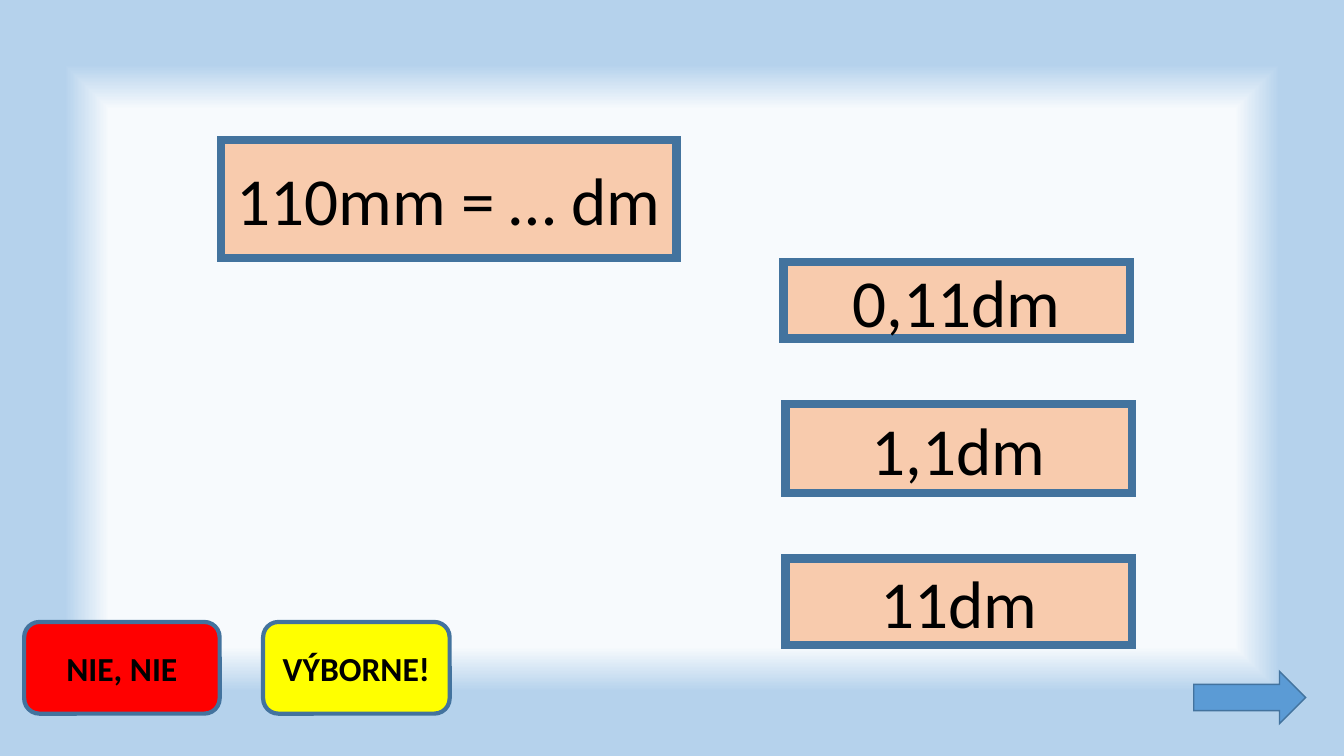
from dataclasses import dataclass

from lxml.etree import SubElement
from pptx import Presentation
from pptx.dml.color import RGBColor
from pptx.enum.shapes import MSO_SHAPE as Preset
from pptx.enum.text import MSO_ANCHOR as Anchor, PP_ALIGN as Align
from pptx.oxml import parse_xml
from pptx.oxml.ns import nsdecls, qn
from pptx.slide import Slide
from pptx.util import Inches, Pt

WIDTH, HEIGHT = Inches(13.33), Inches(7.5)
FONT = "Calibri"
BLACK = RGBColor(0x00, 0x00, 0x00)
PEACH = RGBColor(0xF8, 0xCB, 0xAD)
RED = RGBColor(0xFF, 0x00, 0x00)
YELLOW = RGBColor(0xFF, 0xFF, 0x00)
BLUE = RGBColor(0x5B, 0x9B, 0xD5)
OUTLINE = RGBColor(0x43, 0x73, 0x9E)
PALE = RGBColor(0xF7, 0xFA, 0xFD)
SKY = RGBColor(0xB5, 0xD2, 0xEC)
MIST = RGBColor(0xCE, 0xE1, 0xF2)
BACKGROUND_STOPS = [(71, PALE), (83, SKY), (100, SKY), (100, MIST)]


@dataclass(frozen=True)
class Style:
    preset: Preset
    line_width: float
    size: int = 18
    bold: bool = False


@dataclass(frozen=True)
class Box:
    """A filled shape; its lengths are percentages of the slide's size."""
    style: Style
    fill: RGBColor
    left: float
    top: float
    width: float
    height: float
    text: str = ""


CARD = Style(Preset.RECTANGLE, 6, 48)
BUTTON = Style(Preset.ROUNDED_RECTANGLE, 3, 24, True)
ARROW = Style(Preset.RIGHT_ARROW, 1)

BOXES = [
    # Question and its three answers
    Box(CARD, PEACH, 16.43, 18.53, 33.9, 15.6, "110mm = … dm"),
    Box(CARD, PEACH, 58.29, 34.67, 25.8, 10.13, "0,11dm"),
    Box(CARD, PEACH, 58.44, 53.47, 25.8, 11.73, "1,1dm"),
    Box(CARD, PEACH, 58.44, 73.87, 25.8, 11.47, "11dm"),
    # Feedback buttons
    Box(BUTTON, RED, 1.8, 82.27, 14.55, 12.13, "NIE, NIE"),
    Box(BUTTON, YELLOW, 19.58, 82.27, 13.88, 12.13, "VÝBORNE!"),
    # Arrow to the next page
    Box(ARROW, BLUE, 88.82, 88.8, 8.33, 6.93),
]


def across(percent: float) -> int:
    return round(WIDTH * percent / 100)


def down(percent: float) -> int:
    return round(HEIGHT * percent / 100)


def paint_background(page: Slide) -> None:
    stops = "".join(
        f'<a:gs pos="{position * 1000}"><a:srgbClr val="{color}"/></a:gs>'
        for position, color in BACKGROUND_STOPS
    )
    background = parse_xml(
        f'<p:bg {nsdecls("p", "a")}><p:bgPr><a:gradFill rotWithShape="1">'
        f'<a:gsLst>{stops}</a:gsLst><a:path path="shape">'
        '<a:fillToRect l="50000" t="50000" r="50000" b="50000"/></a:path>'
        '</a:gradFill><a:effectLst/></p:bgPr></p:bg>'
    )
    page.element.find(qn("p:cSld")).insert(0, background)


def draw_box(page: Slide, box: Box) -> None:
    style = box.style
    shape = page.shapes.add_shape(
        style.preset, across(box.left), down(box.top),
        across(box.width), down(box.height),
    )
    shape.shadow.inherit = False
    shape.fill.solid()
    shape.fill.fore_color.rgb = box.fill
    shape.line.color.rgb = OUTLINE
    shape.line.width = Pt(style.line_width)
    # Sharp outline corners
    outline = shape.element.spPr.find(qn("a:ln"))
    SubElement(outline, qn("a:miter"), lim="800000")
    if not box.text:
        return
    frame = shape.text_frame
    frame.word_wrap = True
    frame.vertical_anchor = Anchor.MIDDLE
    para = frame.paragraphs[0]
    para.alignment = Align.CENTER
    span = para.add_run()
    span.text = box.text
    span.font.name = FONT
    span.font.size = Pt(style.size)
    span.font.bold = style.bold
    span.font.color.rgb = BLACK


def main() -> None:
    deck = Presentation()
    deck.slide_width, deck.slide_height = WIDTH, HEIGHT
    page = deck.slides.add_slide(deck.slide_layouts[6])
    paint_background(page)
    for box in BOXES:
        draw_box(page, box)
    deck.save("out.pptx")


if __name__ == "__main__":
    main()
